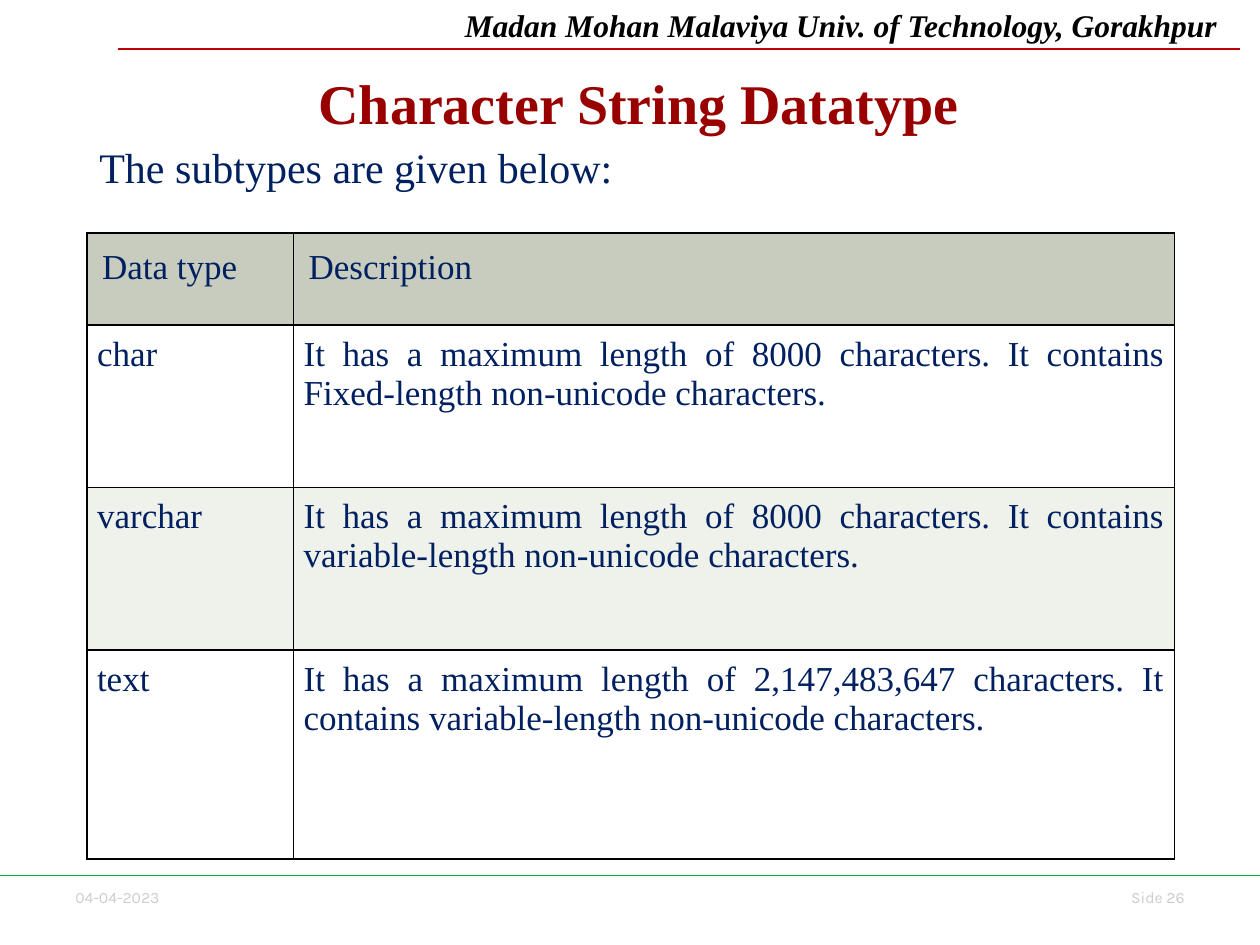
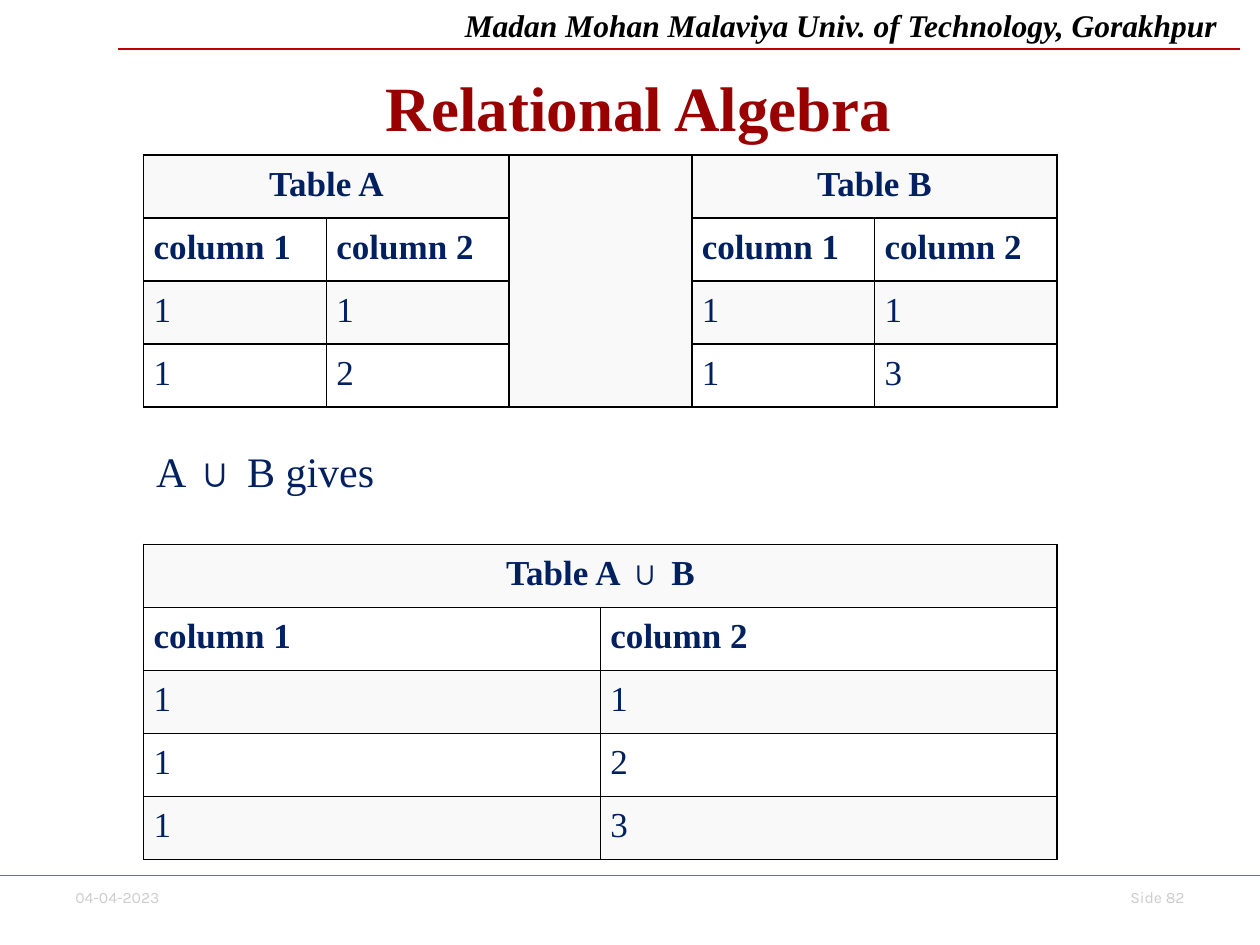
"""Build two database lecture slides: string datatypes and a relational union."""
from lxml import etree
from pptx import Presentation
from pptx.dml.color import RGBColor
from pptx.enum.shapes import MSO_CONNECTOR
from pptx.enum.text import MSO_ANCHOR, MSO_AUTO_SIZE, PP_ALIGN as ALIGN
from pptx.oxml import parse_xml
from pptx.oxml.ns import nsdecls, qn
from pptx.util import Inches, Pt

WHITE = RGBColor(0xFF, 0xFF, 0xFF)
BLACK = RGBColor(0x00, 0x00, 0x00)
NAVY = RGBColor(0x00, 0x20, 0x60)
MAROON = RGBColor(0x99, 0x00, 0x00)
RED = RGBColor(0xC0, 0x00, 0x00)
GREEN = RGBColor(0x00, 0xB0, 0x50)
FOOTER_GREY = RGBColor(0xCC, 0xCC, 0xCC)
HEADER_SAGE = RGBColor(0xC7, 0xCC, 0xBE)
PALE_SAGE = RGBColor(0xEF, 0xF1, 0xEB)
PALE_GREY = RGBColor(0xF9, 0xF9, 0xF9)

SERIF = "Times New Roman"
HEADER = dict(name=SERIF, size=Pt(18), bold=True, italic=True, color=BLACK)
FOOTER = dict(name="Karla", size=Pt(9), color=FOOTER_GREY)
TITLE = dict(name=SERIF, bold=True, color=MAROON)
LEAD = dict(name=SERIF, size=Pt(24), color=NAVY)
CELL = dict(name=SERIF, size=Pt(20), bold=False, color=NAVY)
CELL_BOLD = CELL | dict(bold=True)


def write(frame, text, style, align=ALIGN.LEFT):
    """Put one formatted paragraph into a text frame."""
    frame.word_wrap = True
    paragraph = frame.paragraphs[0]
    paragraph.alignment = align
    run = paragraph.add_run()
    run.text = text
    for attribute, value in style.items():
        if attribute == "color":
            run.font.color.rgb = value
        else:
            setattr(run.font, attribute, value)


def add_grid(slide, left, top, widths, heights, fills):
    """Add an empty table with black borders and one fill for each row."""
    frame = slide.shapes.add_table(
        len(heights), len(widths), Inches(left), Inches(top),
        Inches(sum(widths)), Inches(sum(heights)))
    table = frame.table
    table.first_row = table.horz_banding = False
    for column, width in zip(table.columns, widths):
        column.width = Inches(width)
    for row, height, fill in zip(table.rows, heights, fills):
        row.height = Inches(height)
        for cell in row.cells:
            for side in ("left", "right", "top", "bottom"):
                setattr(cell, f"margin_{side}", Inches(0.08))
            cell.fill.solid()
            cell.fill.fore_color.rgb = fill
            properties = cell._tc.get_or_add_tcPr()
            for position, edge in enumerate(("lnL", "lnR", "lnT", "lnB")):
                properties.insert(position, parse_xml(
                    f'<a:{edge} {nsdecls("a")} w="12700"><a:solidFill>'
                    f'<a:srgbClr val="{BLACK}"/></a:solidFill></a:{edge}>'))
    return table


presentation = Presentation()
presentation.slide_width = Inches(10)
presentation.slide_height = Inches(7.5)

slides = []
for title_text, title_size, number in (
        ("Character String Datatype", 32, 26), ("Relational Algebra", 36, 82)):
    slide = presentation.slides.add_slide(presentation.slide_layouts[5])
    slides.append(slide)
    for left, top, width, height, text, style, align in (
            (0.5, 7, 1.03, 0.25, "04-04-2023", FOOTER, ALIGN.LEFT),
            (8.67, 7, 0.83, 0.25, f"Side {number}", FOOTER, ALIGN.RIGHT),
            (3.59, 0, 6.41, 0.4,
             "Madan Mohan Malaviya Univ. of Technology, Gorakhpur",
             HEADER, ALIGN.LEFT)):
        box = slide.shapes.add_textbox(
            Inches(left), Inches(top), Inches(width), Inches(height))
        write(box.text_frame, text, style, align)
    for start, end, height, color in (
            (0.94, 9.84, 0.39, RED), (0, 10, 6.95, GREEN)):
        rule = slide.shapes.add_connector(
            MSO_CONNECTOR.STRAIGHT, Inches(start), Inches(height),
            Inches(end), Inches(height))
        rule.line.color.rgb = color
        rule.line.width = Pt(0.75)
        etree.SubElement(rule._element.spPr, qn("a:effectLst"))
    title = slide.shapes.title
    title.left, title.top = Inches(0.78), Inches(0.44)
    title.width, title.height = Inches(8.58), Inches(0.75)
    title.text_frame.auto_size = MSO_AUTO_SIZE.NONE
    title.text_frame.vertical_anchor = MSO_ANCHOR.TOP
    title.text_frame.margin_top = Inches(0.1)
    write(title.text_frame, title_text, TITLE | dict(size=Pt(title_size)),
          ALIGN.CENTER)

datatype_slide, algebra_slide = slides

for slide, left, top, width, text in (
        (datatype_slide, 0.69, 1.07, 9.31, "The subtypes are given below:"),
        (algebra_slide, 1.14, 3.48, 5.91, "A ∪ B gives")):
    lead = slide.shapes.add_textbox(
        Inches(left), Inches(top), Inches(width), Inches(0.51))
    lead.text_frame.vertical_anchor = MSO_ANCHOR.MIDDLE
    write(lead.text_frame, text, LEAD)

datatypes = (
    ("Data type", "Description"),
    ("char", "It has a maximum length of 8000 characters. "
             "It contains Fixed-length non-unicode characters."),
    ("varchar", "It has a maximum length of 8000 characters. "
                "It contains variable-length non-unicode characters."),
    ("text", "It has a maximum length of 2,147,483,647 characters. "
             "It contains variable-length non-unicode characters."),
)
datatype_table = add_grid(
    datatype_slide, 0.69, 1.85, (1.64, 6.99), (0.73, 1.29, 1.29, 1.66),
    (HEADER_SAGE, WHITE, PALE_SAGE, WHITE))
for row, texts in zip(datatype_table.rows, datatypes):
    for cell, text in zip(row.cells, texts):
        write(cell.text_frame, text, CELL, ALIGN.JUSTIFY)
for cell in datatype_table.rows[0].cells:
    for side in ("left", "right", "top", "bottom"):
        setattr(cell, f"margin_{side}", Inches(0.12))

columns = ("column 1", "column 2")
operands = (
    ("Table A", "", "", "Table B", ""),
    (*columns, "", *columns),
    ("1", "1", "", "1", "1"),
    ("1", "2", "", "1", "3"),
)
union = (("Table A ∪ B", ""), columns, ("1", "1"), ("1", "2"), ("1", "3"))
for top, rows, merges in (
        (1.23, operands, ((0, 0, 0, 1), (0, 2, 3, 2), (0, 3, 0, 4))),
        (4.32, union, ((0, 0, 0, 1),))):
    count = len(rows[0])
    table = add_grid(
        algebra_slide, 1.14, top, [7.25 / count] * count, [0.5] * len(rows),
        [(PALE_GREY, WHITE)[index % 2] for index in range(len(rows))])
    for first_row, first_column, last_row, last_column in merges:
        table.cell(first_row, first_column).merge(
            table.cell(last_row, last_column))
    for index, texts in enumerate(rows):
        for cell, text in zip(table.rows[index].cells, texts):
            if text:
                write(cell.text_frame, text, CELL_BOLD if index < 2 else CELL,
                      ALIGN.CENTER if index == 0 else ALIGN.LEFT)

presentation.save("out.pptx")
